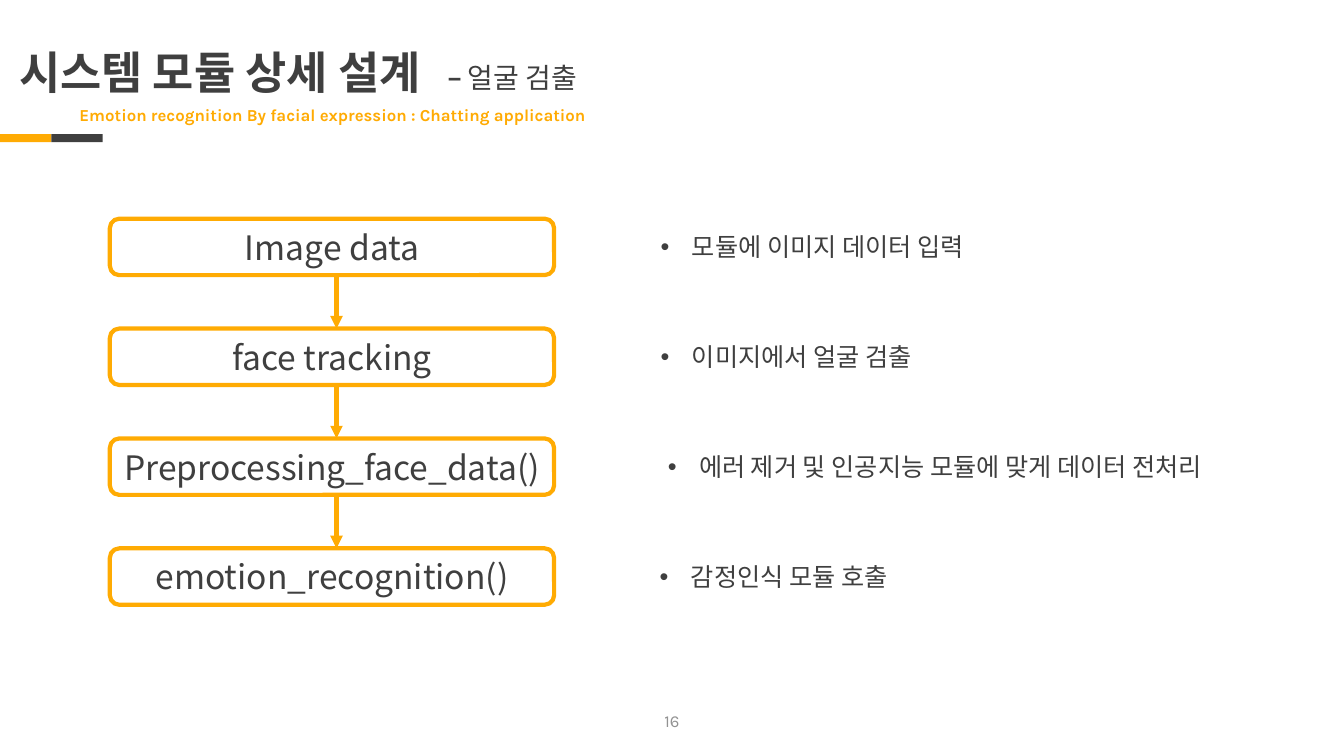
from lxml.etree import SubElement
from pptx import Presentation
from pptx.dml.color import RGBColor
from pptx.enum.shapes import MSO_CONNECTOR, MSO_SHAPE
from pptx.enum.text import MSO_ANCHOR, MSO_AUTO_SIZE, PP_ALIGN
from pptx.oxml.ns import qn
from pptx.util import Inches, Pt

ORANGE = RGBColor(0xFF, 0xAB, 0x03)
DARK = RGBColor(0x3F, 0x3F, 0x3F)
GRAY = RGBColor(0x92, 0x92, 0x92)
KOREAN = "Noto Sans CJK KR"
LATIN = "Karla"

BOX_LEFT, BOX_TOP, BOX_WIDTH, BOX_HEIGHT = 1.09, 2.17, 4.41, 0.56
STEP_PITCH = 1.09
ARROW_X = 3.34

# Module name, description, description left and width
STEPS = [
    ("Image data", "모듈에 이미지 데이터 입력", 6.46, 3.4),
    ("face tracking", "이미지에서 얼굴 검출", 6.46, 2.83),
    ("Preprocessing_face_data()", "에러 제거 및 인공지능 모듈에 맞게 데이터 전처리", 6.53, 5.88),
    ("emotion_recognition()", "감정인식 모듈 호출", 6.45, 2.6),
]


def set_font(font, properties, name, size, color, bold=False):
    font.name = name
    font.size = Pt(size)
    font.bold = bold
    font.color.rgb = color
    SubElement(properties, qn("a:ea")).set("typeface", name)


def format_paragraph(paragraph, name, size, color, bold=False, align=PP_ALIGN.LEFT):
    paragraph.alignment = align
    font = paragraph.font
    properties = paragraph._p.pPr.find(qn("a:defRPr"))
    set_font(font, properties, name, size, color, bold)


def add_bullet(paragraph, color):
    properties = paragraph._p.get_or_add_pPr()
    properties.set("marL", str(Inches(0.31)))
    properties.set("indent", str(-Inches(0.31)))
    bullet_color = SubElement(properties, qn("a:buClr"))
    SubElement(bullet_color, qn("a:srgbClr")).set("val", str(color))
    SubElement(properties, qn("a:buFont")).set("typeface", "Arial")
    SubElement(properties, qn("a:buChar")).set("char", "•")


def add_text_box(slide, left, top, width, height, wrap=True):
    box = slide.shapes.add_textbox(Inches(left), Inches(top), Inches(width), Inches(height))
    frame = box.text_frame
    frame.word_wrap = wrap
    if wrap:
        frame.vertical_anchor = MSO_ANCHOR.MIDDLE
    else:
        frame.auto_size = MSO_AUTO_SIZE.SHAPE_TO_FIT_TEXT
    return frame.paragraphs[0]


def add_title(slide, text):
    title = slide.shapes.title
    title.left, title.top = Inches(0.09), Inches(0.13)
    title.width, title.height = Inches(11.5), Inches(1.22)
    frame = title.text_frame
    frame.text = text
    frame.vertical_anchor = MSO_ANCHOR.MIDDLE
    paragraph = frame.paragraphs[0]
    paragraph.line_spacing = 0.9
    format_paragraph(paragraph, KOREAN, 32, DARK, bold=True)


def add_topic(slide):
    paragraph = add_text_box(slide, 4.34, 0.55, 1.57, 0.44, wrap=False)
    for text, name, bold in (("– ", "Manrope", True), ("얼굴 검출", KOREAN, False)):
        run = paragraph.add_run()
        run.text = text
        set_font(run.font, run._r.get_or_add_rPr(), name, 20, DARK, bold)


def add_accent_bar(slide, left, color):
    bar = slide.shapes.add_shape(
        MSO_SHAPE.RECTANGLE, Inches(left), Inches(1.33), Inches(0.51), Inches(0.08))
    bar.shadow.inherit = False
    bar.fill.solid()
    bar.fill.fore_color.rgb = color
    bar.line.fill.background()


def add_module_box(slide, top, text):
    box = slide.shapes.add_shape(
        MSO_SHAPE.ROUNDED_RECTANGLE, Inches(BOX_LEFT), Inches(top),
        Inches(BOX_WIDTH), Inches(BOX_HEIGHT))
    box.shadow.inherit = False
    box.fill.background()
    box.line.color.rgb = ORANGE
    box.line.width = Pt(3)
    frame = box.text_frame
    frame.text = text
    frame.word_wrap = True
    frame.vertical_anchor = MSO_ANCHOR.MIDDLE
    format_paragraph(frame.paragraphs[0], KOREAN, 24, DARK, align=PP_ALIGN.CENTER)


def add_description(slide, left, top, width, text):
    paragraph = add_text_box(slide, left, top, width, 0.4, wrap=False)
    paragraph.text = text
    add_bullet(paragraph, DARK)
    format_paragraph(paragraph, KOREAN, 18, DARK)


def add_arrow(slide, top, bottom):
    arrow = slide.shapes.add_connector(
        MSO_CONNECTOR.STRAIGHT, Inches(ARROW_X), Inches(top), Inches(ARROW_X), Inches(bottom))
    arrow.line.color.rgb = ORANGE
    arrow.line.width = Pt(3)
    SubElement(arrow.line._get_or_add_ln(), qn("a:tailEnd")).set("type", "triangle")
    SubElement(arrow._element.spPr, qn("a:effectLst"))


def main():
    presentation = Presentation()
    presentation.slide_width = Inches(13.34)
    presentation.slide_height = Inches(7.5)
    slide = presentation.slides.add_slide(presentation.slide_layouts[5])

    # Heading
    add_accent_bar(slide, 0, ORANGE)
    add_accent_bar(slide, 0.51, DARK)
    add_title(slide, "시스템 모듈 상세 설계")
    add_topic(slide)
    subtitle = add_text_box(slide, 0.69, 0.95, 11.5, 0.4)
    subtitle.text = "Emotion recognition By facial expression : Chatting application"
    subtitle.line_spacing = 0.9
    format_paragraph(subtitle, LATIN, 12, ORANGE, bold=True)

    # Module flow with descriptions
    for index, (module, description, left, width) in enumerate(STEPS):
        top = BOX_TOP + index * STEP_PITCH
        add_module_box(slide, top, module)
        add_description(slide, left, top + 0.08, width, description)
        if index:
            add_arrow(slide, top - STEP_PITCH + BOX_HEIGHT, top)

    # Page number
    page_number = add_text_box(slide, 5.17, 6.95, 3, 0.4)
    page_number.text = "16"
    format_paragraph(page_number, LATIN, 12, GRAY, align=PP_ALIGN.CENTER)

    presentation.save("out.pptx")


if __name__ == "__main__":
    main()
